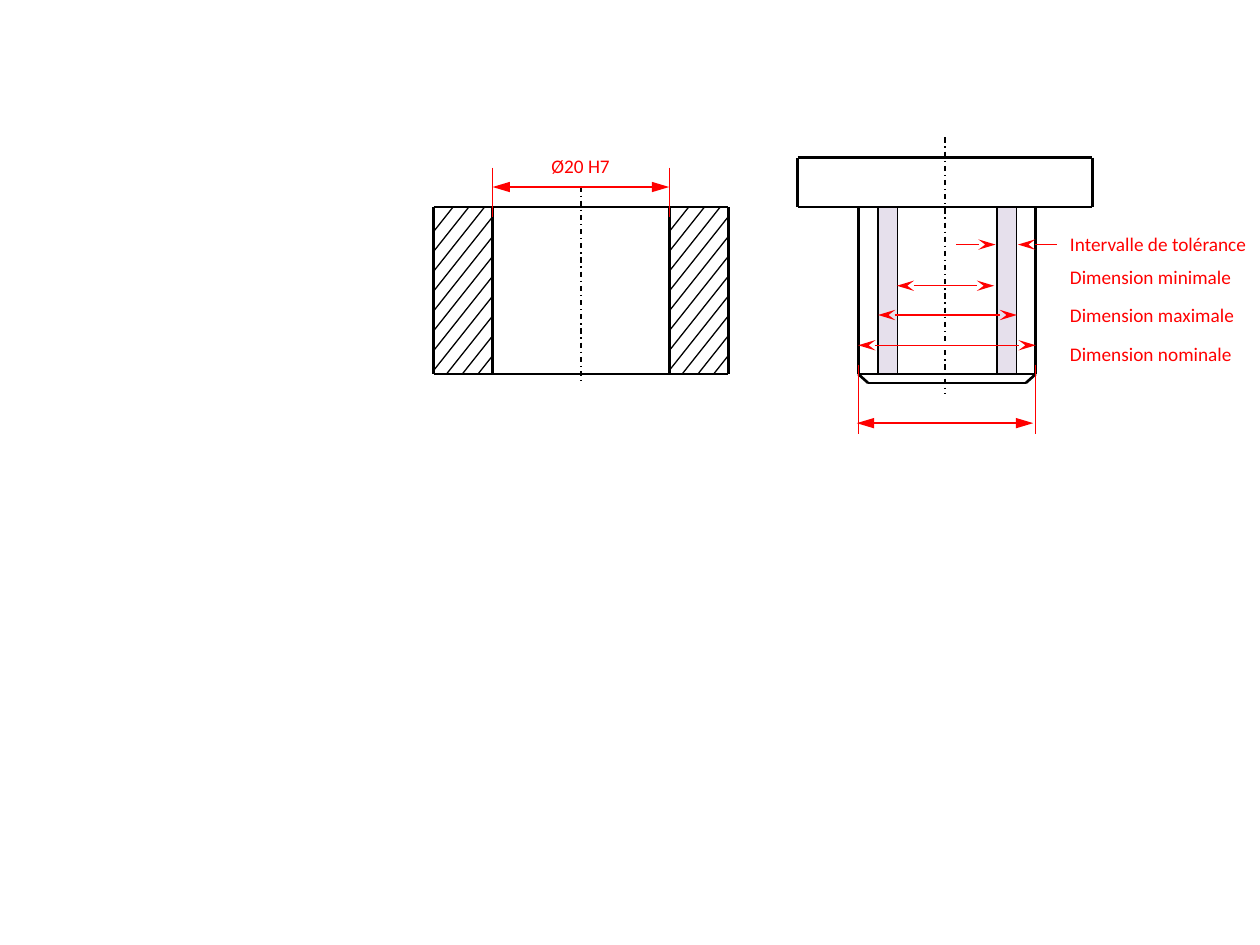
from lxml import etree
from pptx import Presentation
from pptx.enum import dml, shapes, text
from pptx.oxml.ns import qn
from pptx.dml.color import RGBColor
from pptx.util import Cm, Pt

COLORS = {"outline": "000000", "dimension": "FF0000", "tolerance": "E6E0EC"}
THICK, THIN = 1.5, 0.75

# Shared levels and edges, in centimetres
TOP, BOTTOM = 4.17, 7.54
BORE_LEFT, BORE_RIGHT = 9.93, 13.49
BLOCK_LEFT, BLOCK_RIGHT = 8.74, 14.68
PIN_LEFT, PIN_RIGHT = 17.3, 20.88
HEAD_LEFT, HEAD_RIGHT, HEAD_TOP = 16.08, 22.02, 3.18
CHAMFER, CHAMFER_BOTTOM = 0.2, 7.72
BAND_WIDTH, BANDS = 0.39, (17.7, 20.1)
BAND_EDGES = [x + dx for x in BANDS for dx in (0, BAND_WIDTH)]

# Hatching: right end of the first line, spacing, rise and run
HATCH_START, HATCH_STEP, HATCH_RISE = 4.37, 0.4, 1.5
HATCH_WIDTH = BORE_LEFT - BLOCK_LEFT
HATCH_INDEXES = range(-3, 8)

# Outlines: x1, y1, x2, y2
BLOCK_LINES = [(x, TOP, x, BOTTOM) for x in (BLOCK_LEFT, BORE_LEFT, BORE_RIGHT, BLOCK_RIGHT)]
BLOCK_LINES += [(BLOCK_LEFT, y, BLOCK_RIGHT, y) for y in (TOP, BOTTOM)]
PIN_LINES = [(x, HEAD_TOP, x, TOP) for x in (HEAD_LEFT, HEAD_RIGHT)]
PIN_LINES += [(HEAD_LEFT, y, HEAD_RIGHT, y) for y in (HEAD_TOP, TOP)]
PIN_LINES += [(x, TOP, x, BOTTOM) for x in (PIN_LEFT, PIN_RIGHT)]
PIN_LINES += [
    (PIN_LEFT, BOTTOM, PIN_RIGHT, BOTTOM),
    (PIN_LEFT, BOTTOM, PIN_LEFT + CHAMFER, CHAMFER_BOTTOM),
    (PIN_RIGHT, BOTTOM, PIN_RIGHT - CHAMFER, CHAMFER_BOTTOM),
    (PIN_LEFT + CHAMFER, CHAMFER_BOTTOM, PIN_RIGHT - CHAMFER, CHAMFER_BOTTOM),
]
AXES = [(11.71, 3.76, 11.71, 7.75), (19.05, 2.77, 19.05, 7.92)]

# Dimensions
EXTENSION_LINES = [(x, 3.38, x, 4.37) for x in (BORE_LEFT, BORE_RIGHT)]
EXTENSION_LINES += [(x, 7.35, x, 8.75) for x in (PIN_LEFT, PIN_RIGHT)]
ARROWS = [  # x1, x2, y, head, tail
    (BORE_LEFT, BORE_RIGHT, 3.77, "triangle", "triangle"),
    (17.27, 20.83, 8.53, "triangle", "triangle"),
    (PIN_LEFT, PIN_RIGHT, 6.96, "stealth", "stealth"),
    (17.7, 20.5, 6.35, "stealth", "stealth"),
    (18.08, 20.04, 5.76, "stealth", "stealth"),
    (20.52, 21.31, 4.93, "stealth", None),
    (20.07, 19.28, 4.93, "stealth", None),
]
LABELS = [  # text, left, top, width, alignment
    ("Ø20 H7", 9.92, 2.98, 3.57, text.PP_ALIGN.CENTER),
    ("Intervalle de tolérance", 21.32, 4.55, 4.4, text.PP_ALIGN.LEFT),
    ("Dimension minimale", 21.32, 5.23, 4.4, text.PP_ALIGN.LEFT),
    ("Dimension maximale", 21.32, 5.99, 4.4, text.PP_ALIGN.LEFT),
    ("Dimension nominale", 21.32, 6.78, 4.4, text.PP_ALIGN.LEFT),
]

presentation = Presentation()
presentation.slide_width, presentation.slide_height = Cm(25.4), Cm(19.05)
slide = presentation.slides.add_slide(presentation.slide_layouts[6])


def color(name):
    return RGBColor.from_string(COLORS[name])


def add_line(x1, y1, x2, y2, name="outline", width=THIN, dash=None, head=None, tail=None):
    connector = slide.shapes.add_connector(
        shapes.MSO_CONNECTOR.STRAIGHT, Cm(x1), Cm(y1), Cm(x2), Cm(y2))
    connector.line.color.rgb = color(name)
    connector.line.width = Pt(width)
    if dash:
        connector.line.dash_style = dash
    properties = connector._element.spPr
    for tag, kind in (("a:headEnd", head), ("a:tailEnd", tail)):
        if kind:
            etree.SubElement(properties.find(qn("a:ln")), qn(tag), type=kind, w="med", len="lg")
    etree.SubElement(properties, qn("a:effectLst"))


def add_hatching(left):
    for index in HATCH_INDEXES:
        right_y = HATCH_START + index * HATCH_STEP
        # Clip each slanted line to the section's top and bottom edges
        y1 = max(right_y, TOP)
        y2 = min(right_y + HATCH_RISE, BOTTOM)
        x1, x2 = (left + HATCH_WIDTH * (1 - (y - right_y) / HATCH_RISE) for y in (y1, y2))
        add_line(x1, y1, x2, y2)


# Tolerance bands
for band_left in BANDS:
    band = slide.shapes.add_shape(
        shapes.MSO_SHAPE.RECTANGLE, Cm(band_left), Cm(TOP), Cm(BAND_WIDTH), Cm(BOTTOM - TOP))
    band.shadow.inherit = False
    band.fill.solid()
    band.fill.fore_color.rgb = color("tolerance")
    band.line.fill.background()

# Bored block and pin
for section_left in (BLOCK_LEFT, BORE_RIGHT):
    add_hatching(section_left)
for ends in BLOCK_LINES + PIN_LINES:
    add_line(*ends, width=THICK)
for x in BAND_EDGES:
    add_line(x, TOP, x, BOTTOM)
for ends in AXES:
    add_line(*ends, dash=dml.MSO_LINE.DASH_DOT)

# Dimension lines
for ends in EXTENSION_LINES:
    add_line(*ends, name="dimension")
for x1, x2, y, head, tail in ARROWS:
    add_line(x1, y, x2, y, name="dimension", head=head, tail=tail)

# Labels
for words, left, top, width, alignment in LABELS:
    frame = slide.shapes.add_textbox(Cm(left), Cm(top), Cm(width), Cm(0.73)).text_frame
    frame.word_wrap = True
    frame.auto_size = text.MSO_AUTO_SIZE.SHAPE_TO_FIT_TEXT
    paragraph = frame.paragraphs[0]
    paragraph.text = words
    paragraph.alignment = alignment
    paragraph.font.name = "Calibri"
    paragraph.font.size = Pt(11)
    paragraph.font.color.rgb = color("dimension")

presentation.save("out.pptx")
